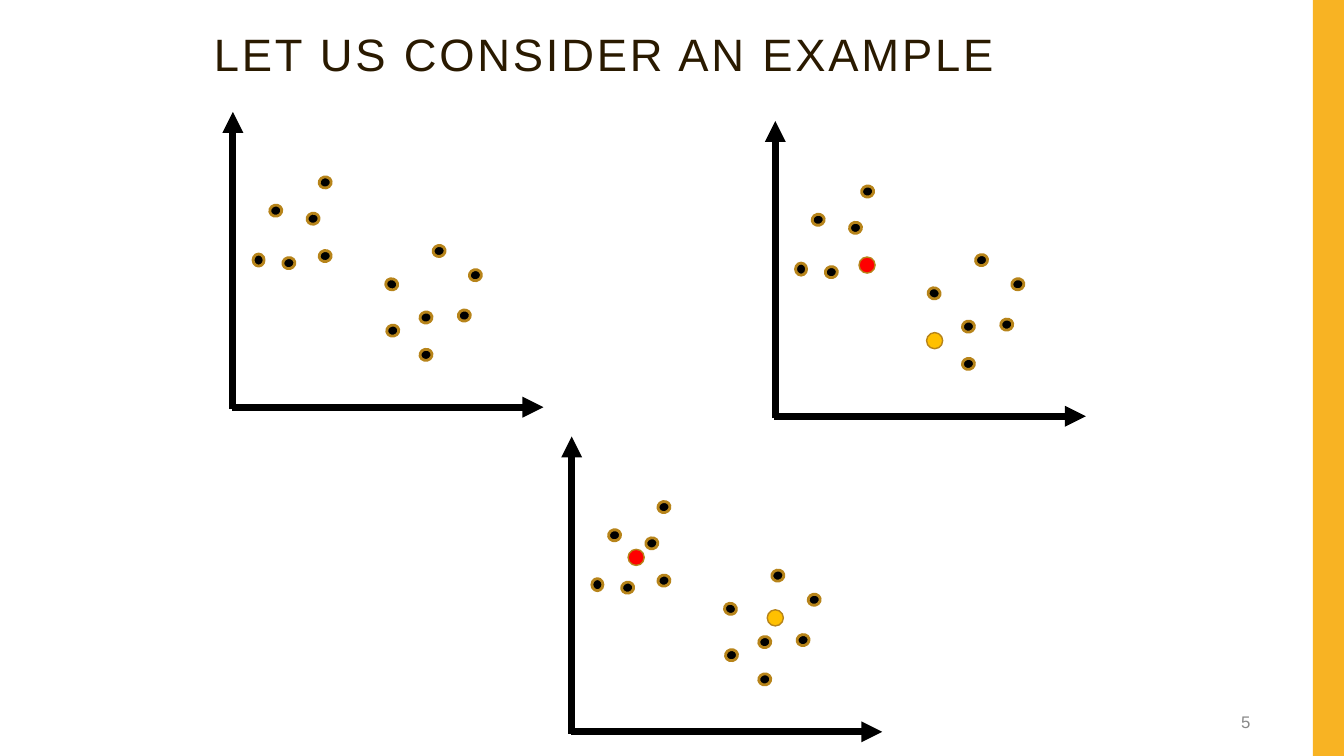
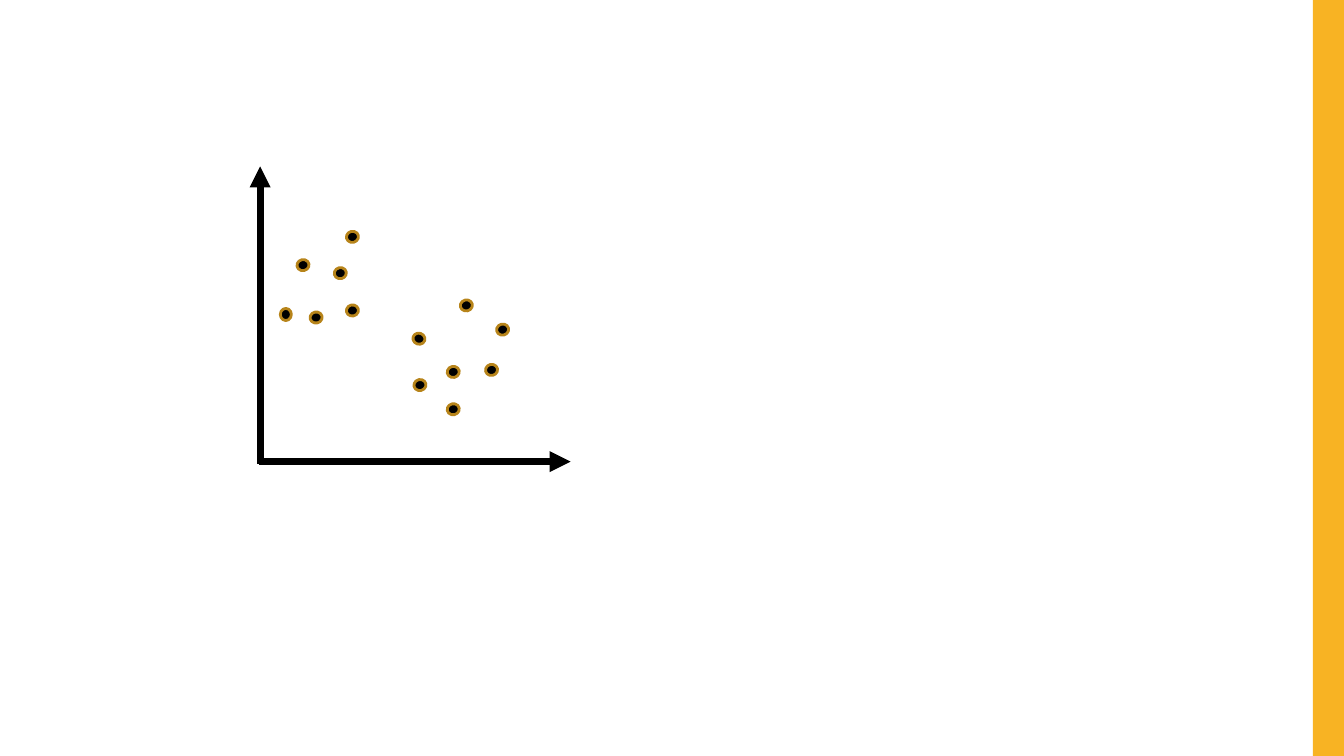
from dataclasses import dataclass

from pptx import Presentation
from pptx.dml.color import RGBColor
from pptx.enum.shapes import MSO_CONNECTOR, MSO_SHAPE
from pptx.enum.text import MSO_ANCHOR, MSO_AUTO_SIZE, PP_ALIGN
from pptx.oxml.ns import qn
from pptx.presentation import Presentation as Deck
from pptx.shapes.autoshape import Shape
from pptx.shapes.shapetree import GroupShapes, SlideShapes
from pptx.slide import Slide
from pptx.text.text import TextFrame
from pptx.util import Inches, Length, Pt
from lxml import etree

OVAL, RECT = MSO_SHAPE.OVAL, MSO_SHAPE.RECTANGLE
STRAIGHT = MSO_CONNECTOR.STRAIGHT
TOP, MIDDLE = MSO_ANCHOR.TOP, MSO_ANCHOR.MIDDLE
LEFT, RIGHT = PP_ALIGN.LEFT, PP_ALIGN.RIGHT
NO_AUTOFIT = MSO_AUTO_SIZE.NONE

BLACK = RGBColor(0x00, 0x00, 0x00)
AMBER = RGBColor(0xF8, 0xB3, 0x23)
OCHRE = RGBColor(0xB7, 0x84, 0x1A)
BROWN = RGBColor(0x2A, 0x1A, 0x00)
GREY = RGBColor(0x89, 0x89, 0x89)
RED = RGBColor(0xFF, 0x00, 0x00)
GOLD = RGBColor(0xFF, 0xC0, 0x00)

FONT = "Arial"
CELL = Inches(0.1)
COLUMNS, ROWS = 133.3, 75
BAND_COLUMNS = 3.1
TITLE_ONLY, BLANK = 5, 6
BAND_ID = 20


@dataclass(frozen=True)
class Box:
    col: float
    row: float
    cols: float
    rows: float


@dataclass(frozen=True)
class Dot:
    col: float
    row: float
    turn: float = 77.4


@dataclass(frozen=True)
class Centroid:
    col: float
    row: float
    color: RGBColor


@dataclass(frozen=True)
class Plot:
    col: float
    row: float
    centroids: tuple[Centroid, ...] = ()


DOTS = (
    Dot(22.4, 19.6), Dot(7.4, 10), Dot(19.9, 13.2), Dot(3.7, 9.2),
    Dot(5, 14.4), Dot(23.5, 15.6), Dot(18.6, 23.5), Dot(2, 14.1, 0),
    Dot(15.2, 16.5, 108.5), Dot(18.6, 19.8), Dot(15.3, 21.1),
    Dot(8.6, 13.7), Dot(8.6, 6.4),
)
AXES = (((0, 29.5), (0, 0)), ((-0.1, 29.3), (30.8, 29.3)))
EXAMPLE_PLOTS = (
    Plot(23.1, 11.1),
    Plot(76.9, 12, (Centroid(8.3, 13.5, RED), Centroid(15, 21, GOLD))),
    Plot(56.7, 43.3, (Centroid(5.6, 11.2, RED), Centroid(19.4, 17.2, GOLD))),
)
SINGLE_PLOT = Plot(25.8, 16.5)


def grid(count: float) -> Length:
    return Length(round(count * CELL))


def add_filled(shapes: SlideShapes | GroupShapes, kind: MSO_SHAPE, box: Box,
               fill: RGBColor, line_width: float = 0) -> Shape:
    s = shapes.add_shape(kind, grid(box.col), grid(box.row),
                         grid(box.cols), grid(box.rows))
    s.shadow.inherit = False
    s.fill.solid()
    s.fill.fore_color.rgb = fill
    if line_width:
        s.line.color.rgb = OCHRE
        s.line.width = Pt(line_width)
    else:
        s.line.fill.background()
    return s


def add_axis(shapes: GroupShapes, plot: Plot, start: tuple[float, float],
             end: tuple[float, float]) -> None:
    axis = shapes.add_connector(
        STRAIGHT, grid(plot.col + start[0]), grid(plot.row + start[1]),
        grid(plot.col + end[0]), grid(plot.row + end[1]))
    axis.line.color.rgb = BLACK
    axis.line.width = Pt(5)
    sp_pr = axis.element.spPr
    etree.SubElement(sp_pr.find(qn("a:ln")), qn("a:tailEnd"), type="triangle")
    etree.SubElement(sp_pr, qn("a:effectLst"))


def add_plot(slide: Slide, plot: Plot) -> None:
    group = slide.shapes.add_group_shape()
    for start, end in AXES:
        add_axis(group.shapes, plot, start, end)
    for dot in DOTS:
        box = Box(plot.col + dot.col, plot.row + dot.row, 1.1, 1.2)
        add_filled(group.shapes, OVAL, box, BLACK, 2).rotation = dot.turn
    for c in plot.centroids:
        box = Box(plot.col + c.col, plot.row + c.row, 1.6, 1.6)
        add_filled(slide.shapes, OVAL, box, c.color, 1)


def write(tf: TextFrame, text: str, size: float, color: RGBColor,
          align: PP_ALIGN, anchor: MSO_ANCHOR) -> None:
    tf.text = text
    tf.word_wrap = True
    tf.auto_size = NO_AUTOFIT
    tf.vertical_anchor = anchor
    p = tf.paragraphs[0]
    p.alignment = align
    font = p.runs[0].font
    font.name, font.size, font.color.rgb = FONT, Pt(size), color


def set_title(slide: Slide, text: str) -> None:
    title = slide.shapes.title
    title.left, title.top = grid(20.2), grid(2.7)
    title.width, title.height = grid(89.6), grid(7.7)
    write(title.text_frame, text, 32.4, BROWN, LEFT, TOP)
    p = title.text_frame.paragraphs[0]
    p.line_spacing = 0.9
    p.runs[0].font._element.set("spc", "200")


def add_number(slide: Slide, text: str) -> None:
    s = slide.shapes.add_textbox(grid(94.2), grid(69.7), grid(30.8), grid(3.8))
    write(s.text_frame, text, 12, GREY, RIGHT, MIDDLE)


def move_band_to_master(prs: Deck, slide: Slide) -> None:
    box = Box(COLUMNS - BAND_COLUMNS, 0, BAND_COLUMNS, ROWS)
    band = add_filled(slide.shapes, RECT, box, AMBER)
    band.element.nvSpPr.cNvPr.set("id", str(BAND_ID))
    prs.slide_master.shapes.element.insert(2, band.element)


def main() -> None:
    prs = Presentation()
    prs.slide_width, prs.slide_height = grid(COLUMNS), grid(ROWS)

    example = prs.slides.add_slide(prs.slide_layouts[TITLE_ONLY])
    move_band_to_master(prs, example)
    set_title(example, "LET US CONSIDER AN EXAMPLE")
    add_number(example, "5")
    for plot in EXAMPLE_PLOTS:
        add_plot(example, plot)

    single = prs.slides.add_slide(prs.slide_layouts[BLANK])
    add_plot(single, SINGLE_PLOT)

    prs.save("out.pptx")


main()
